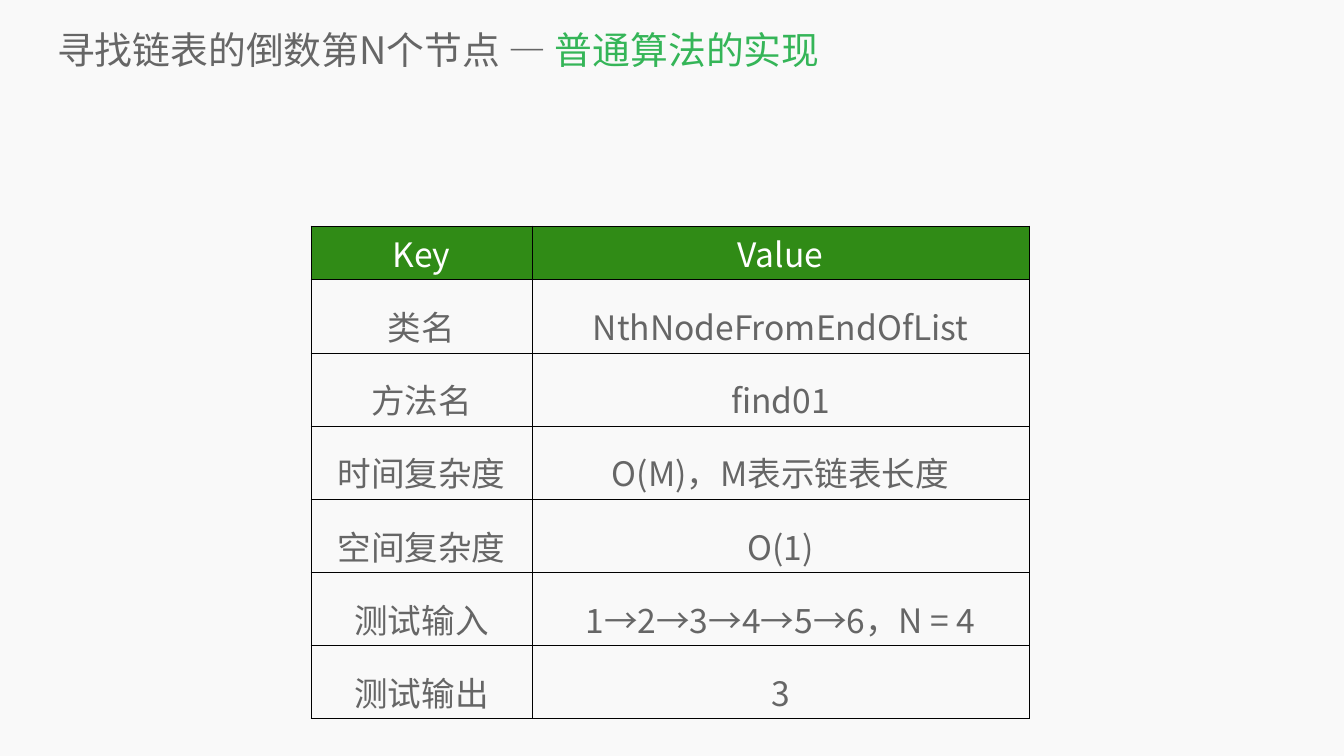
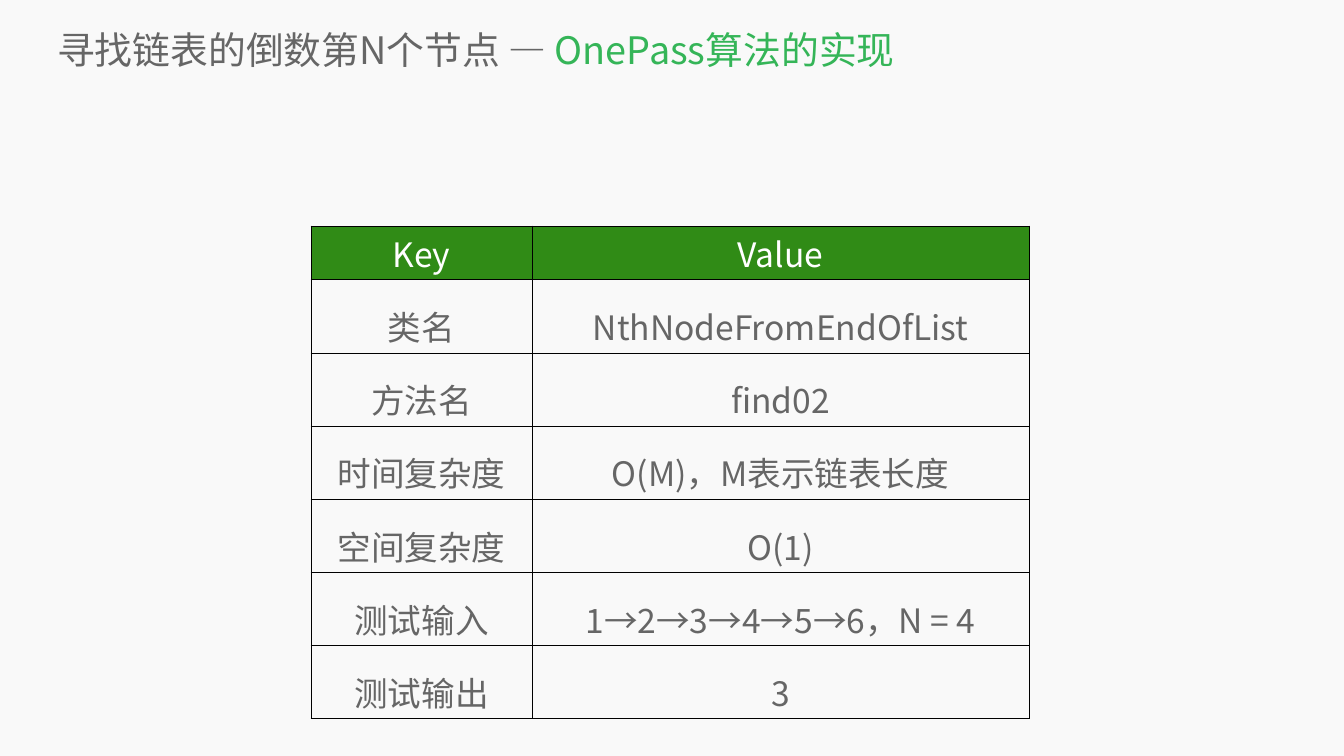
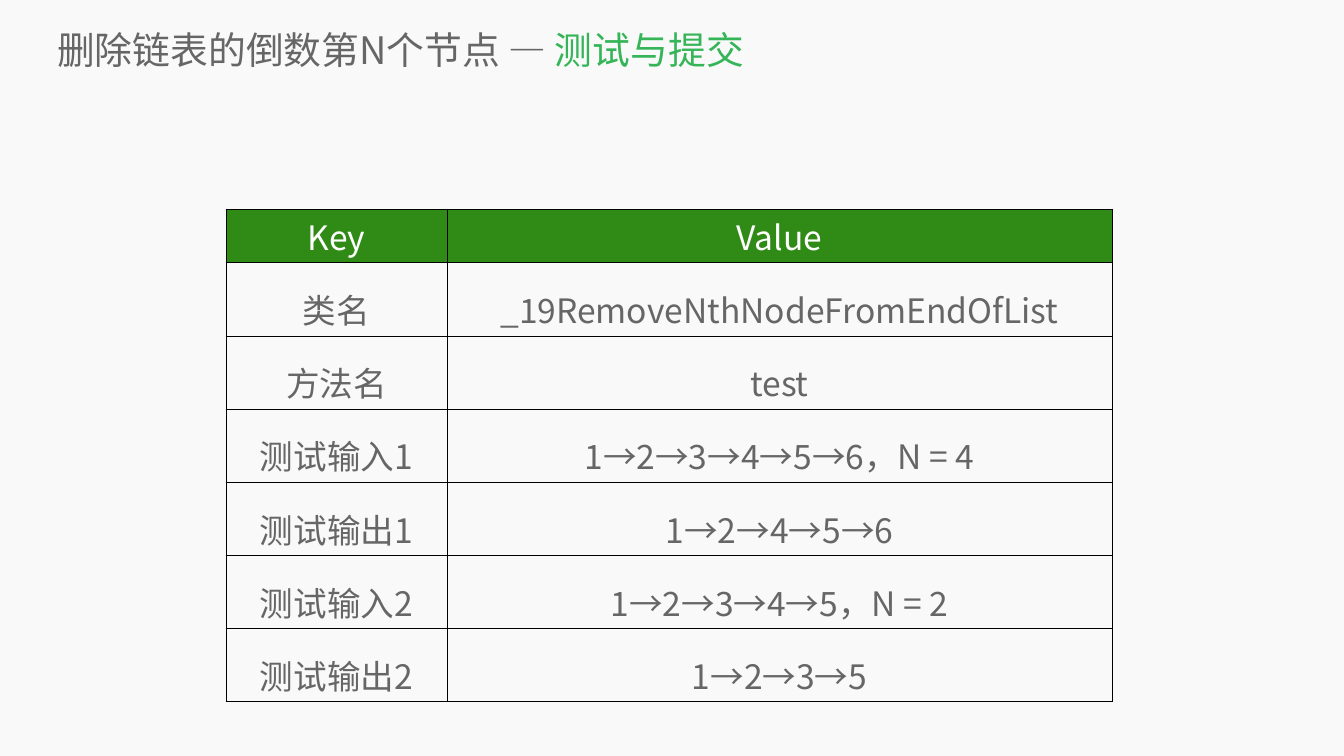
from lxml.etree import SubElement
from pptx import Presentation
from pptx.dml.color import RGBColor as RGB
from pptx.enum.text import MSO_ANCHOR as Anchor, MSO_AUTO_SIZE as AutoSize, PP_ALIGN as Align
from pptx.oxml.ns import qn
from pptx.util import Pt

COLORS = {"page": "F9F9F9", "text": "666666", "accent": "35B558",
          "header": "308B16", "header_text": "FFFFFF", "border": "000000"}
FONT = "Noto Sans CJK SC"
TITLE_SIZE, CELL_SIZE = 54, 48
PX = 914400 / 50.4
SLIDE_W, SLIDE_H = 1344, 756
TITLE_BOX = (57, 24, 1268, 51)
KEY_W, HEADER_H, ROW_H, TABLE_H = 221, 43, 42, 414

FIND = "寻找链表的倒数第N个节点 — "
REMOVE = "删除链表的倒数第N个节点 — "
HEADER = ("Key", "Value")


def find_rows(method):
    """Return the table rows that describe one search method."""
    return [
        ("类名", "NthNodeFromEndOfList"),
        ("方法名", method),
        ("时间复杂度", "O(M)，M表示链表长度"),
        ("空间复杂度", "O(1)"),
        ("测试输入", "1→2→3→4→5→6，N = 4"),
        ("测试输出", "3"),
    ]


REMOVE_ROWS = [
    ("类名", "_19RemoveNthNodeFromEndOfList"),
    ("方法名", "test"),
    ("测试输入1", "1→2→3→4→5→6，N = 4"),
    ("测试输出1", "1→2→4→5→6"),
    ("测试输入2", "1→2→3→4→5，N = 2"),
    ("测试输出2", "1→2→3→5"),
]

SLIDES = [
    {"title": (FIND, "普通算法的实现"), "rows": find_rows("find01"),
     "left": 311, "top": 226, "value_w": 497},
    {"title": (FIND, "OnePass算法的实现"), "rows": find_rows("find02"),
     "left": 311, "top": 226, "value_w": 497},
    {"title": (REMOVE, "测试与提交"), "rows": REMOVE_ROWS,
     "left": 226, "top": 209, "value_w": 665},
]


def px(n):
    """Convert px to EMU."""
    return round(n * PX)


def color(name):
    """Look up a named colour."""
    return RGB.from_string(COLORS[name])


def style(p, size, name, align):
    """Set the font, colour and alignment of a paragraph."""
    p.alignment = align
    p.font.size, p.font.name = Pt(size), FONT
    p.font.color.rgb = color(name)
    SubElement(p.font._element, qn("a:ea"), typeface=FONT)


def set_title(s, parts):
    """Place the title and highlight its second part."""
    sp = s.shapes.title
    sp.left, sp.top, sp.width, sp.height = map(px, TITLE_BOX)
    tf = sp.text_frame
    tf.margin_left = tf.margin_right = tf.margin_top = tf.margin_bottom = 0
    tf.vertical_anchor, tf.auto_size, tf.word_wrap = Anchor.MIDDLE, AutoSize.NONE, True
    p = tf.paragraphs[0]
    style(p, TITLE_SIZE, "text", Align.LEFT)
    for text, name in zip(parts, ("text", "accent")):
        r = p.add_run()
        r.text = text
        r.font.color.rgb = color(name)


def add_borders(cell):
    """Draw a thin line on all four sides of a cell."""
    tc_pr = cell._tc.get_or_add_tcPr()
    for side in "LRTB":
        ln = SubElement(tc_pr, qn(f"a:ln{side}"), w=str(Pt(1)))
        fill = SubElement(ln, qn("a:solidFill"))
        SubElement(fill, qn("a:srgbClr"), val=COLORS["border"])


def fill_cell(cell, text, is_header):
    """Write and format one table cell."""
    add_borders(cell)
    cell.text = text
    p = cell.text_frame.paragraphs[0]
    style(p, CELL_SIZE, "header_text" if is_header else "text", Align.CENTER)
    if is_header:
        cell.fill.solid()
        cell.fill.fore_color.rgb = color("header")
    else:
        p.line_spacing = 1.4
        cell.fill.background()


def add_key_table(s, rows, left, top, value_w):
    """Add the key and value table."""
    rows = [HEADER, *rows]
    frame = s.shapes.add_table(len(rows), len(HEADER), px(left), px(top),
                               px(KEY_W + value_w), px(TABLE_H))
    table = frame.table
    table.first_row = table.horz_banding = False
    for column, width in zip(table.columns, (KEY_W, value_w)):
        column.width = px(width)
    for i, row in enumerate(rows):
        table.rows[i].height = px(ROW_H if i else HEADER_H)
        for j, text in enumerate(row):
            fill_cell(table.cell(i, j), text, i == 0)
    frame.height = px(TABLE_H)


def main():
    """Build and save the slides."""
    prs = Presentation()
    prs.slide_width, prs.slide_height = px(SLIDE_W), px(SLIDE_H)
    background = prs.slide_master.background.fill
    background.solid()
    background.fore_color.rgb = color("page")
    for item in SLIDES:
        s = prs.slides.add_slide(prs.slide_layouts.get_by_name("Title Only"))
        set_title(s, item["title"])
        add_key_table(s, item["rows"], item["left"], item["top"], item["value_w"])
    prs.save("out.pptx")


if __name__ == "__main__":
    main()
